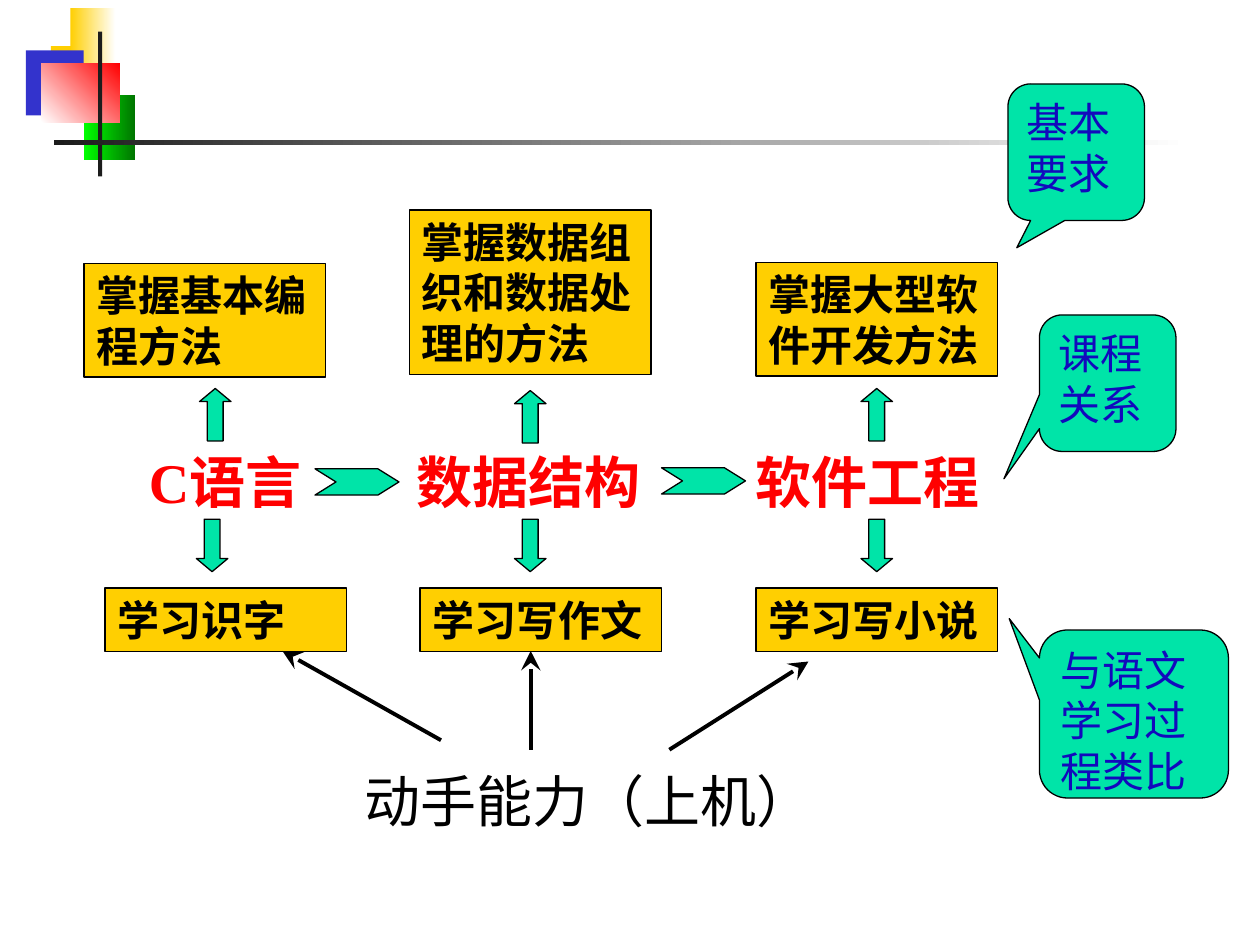
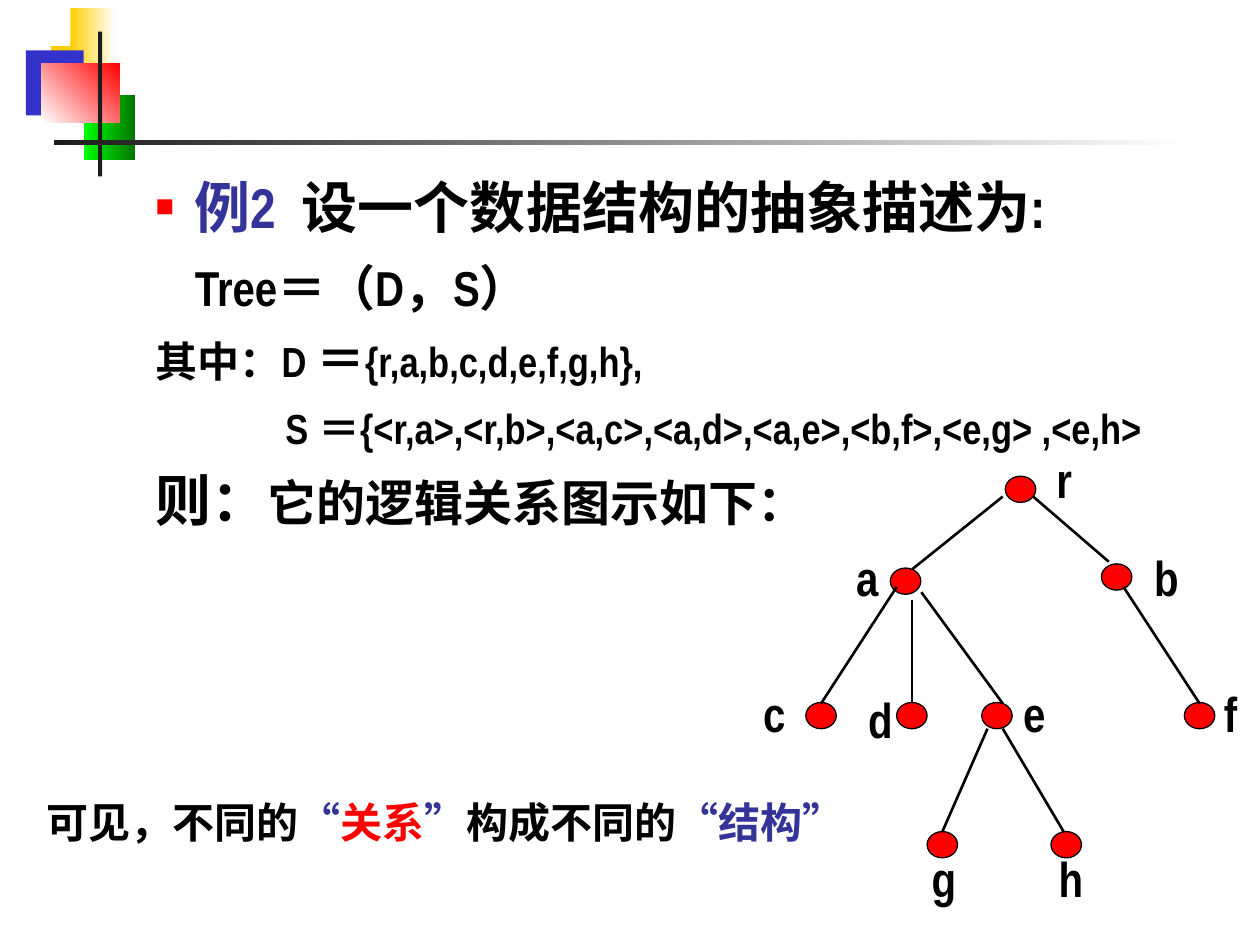
from lxml.etree import SubElement
from pptx import Presentation
from pptx.dml.color import RGBColor
from pptx.enum.shapes import MSO_CONNECTOR as Connector, MSO_SHAPE as Preset
from pptx.enum.text import MSO_ANCHOR as Anchor, MSO_AUTO_SIZE as AutoSize, PP_ALIGN as Align
from pptx.oxml.ns import qn
from pptx.util import Inches, Pt

COLUMNS, ROWS = 120, 90
WIDTH, HEIGHT = Inches(10), Inches(7.5)
BLACK, INK, WHITE = "000000", "1C1C1C", "FFFFFF"
YELLOW, RED, GREEN = "FFCF01", "FF0000", "00E4A8"
BLUE, CALLOUT_BLUE = "333399", "1209BD"
SERIF, NARROW, SANS = "Times New Roman", "Arial Narrow", "Karla"

FRAME = [
    (4.85, 4.4, 5.8, 6.2, [YELLOW], 0),
    (6.7, 0.77, 4.3, 6.2, [YELLOW, WHITE], 0),
    (2.48, 4.8, 5.5, 6.2, ["3333CC"], 0),
    (8, 9.07, 4.85, 6.2, ["00FF00", "007600"], 0),
    (3.93, 6.03, 7.5, 5.6, [WHITE, RED], 45),
    (9.34, 3, 0.4, 13.8, [INK], 0),
    (5.16, 13.35, 108, 0.45, [INK, WHITE], 0),
]

GOALS = [
    (8, 25.1, 10.8, "掌握基本编程方法"),
    (39, 20, 15.65, "掌握数据组织和数据处理的方法"),
    (72, 25.03, 10.8, "掌握大型软件开发方法"),
]
ANALOGIES = [(10, "学习识字"), (40, "学习写作文"), (72, "学习写小说")]
CALLOUTS = [
    (96, 8, 13, 13, (-0.435, 0.7), "基本要求"),
    (99, 30, 13, 13, (-0.76, 0.7), "课程关系"),
    (99, 60, 18, 16, (-0.66, -0.568), "与语文学习过程类比"),
]
UP_ARROWS = [(19, 37), (49, 37.2), (82, 37)]
DOWN_ARROWS = [(18.7, 49.45), (49, 49.45), (82, 49.45)]
CHEVRONS = [(30, 44.65), (63, 44.55)]
PRACTICE_ARROWS = [
    (42, 70.5, 26.9, 62),
    (50.55, 71.4, 50.55, 62),
    (63.75, 71.4, 77, 63),
]

TREE_NODES = [
    ("r", 97.2, 46.6, 101.35, 45.65),
    ("a", 86.25, 55.35, 82.6, 54.95),
    ("b", 106.35, 54.95, 111.1, 54.95),
    ("c", 78.2, 68.15, 73.75, 67.95),
    ("d", 86.85, 68.15, 83.85, 68.45),
    ("e", 94.95, 68.15, 98.5, 67.95),
    ("f", 114.25, 68.15, 117.2, 67.95),
    ("g", 89.75, 80.45, 89.9, 83.6),
    ("h", 101.55, 80.45, 102, 83.6),
]
TREE_EDGES = [
    (95.5, 47.3, 86.9, 54.2),
    (98.4, 47.3, 105.6, 53.5),
    (85.4, 55.9, 78.2, 67),
    (86.85, 57.1, 86.85, 67),
    (87.75, 56.4, 95.5, 67),
    (107, 55.9, 114.25, 67),
    (94.05, 69.4, 89.75, 79.2),
    (95.5, 69.4, 101.3, 79.2),
]
DESCRIPTION = [
    (0.81, -0.31, 8, [("例2  ", 32, BLUE), ("设一个数据结构的抽象描述为:", 32, BLACK)]),
    (0.81, 0, 10.5, [("Tree＝（D，S）", 28, BLACK)]),
    (0.81, -0.31, 7, [("其中：D ", 24, BLACK), ("＝", 28, BLACK),
                      ("{r,a,b,c,d,e,f,g,h},", 24, BLACK)]),
    (1.53, 0, 8.3, [("S ＝{<r,a>,<r,b>,<a,c>,<a,d>,<a,e>,<b,f>,<e,g> ,<e,h>", 24, BLACK)]),
    (0.81, -0.31, 7.5, [("则：", 32, BLACK), ("它的逻辑关系图示如下：", 28, BLACK)]),
]
CONCLUSION = [
    ("可见，不同的", 24, BLACK), ("“", 24, BLUE), ("关系", 24, RED),
    ("”", 24, BLUE), ("构成不同的", 24, BLACK), ("“结构”", 24, BLUE),
]


def across(columns):
    return round(WIDTH * columns / COLUMNS)


def down(rows):
    return round(HEIGHT * rows / ROWS)


def area(left, top, width, height):
    return across(left), down(top), across(width), down(height)


def color(hex_value):
    return RGBColor.from_string(hex_value)


def style_font(font, name, size, hex_value, bold):
    font.name, font.size, font.bold = name, Pt(size), bold
    font.color.rgb = color(hex_value)


def paint(shape, fills, outline=None, angle=0):
    shape.shadow.inherit = False
    if len(fills) == 1:
        shape.fill.solid()
        shape.fill.fore_color.rgb = color(fills[0])
    else:
        shape.fill.gradient()
        shape.fill.gradient_angle = angle
        for stop, hex_value in zip(shape.fill.gradient_stops, fills):
            stop.color.rgb = color(hex_value)
    if outline:
        shape.line.color.rgb = color(outline)
        shape.line.width = Pt(0.75)
    else:
        shape.line.fill.background()


def add_preset(slide, preset, place, fill, adjustments=()):
    shape = slide.shapes.add_shape(preset, *area(*place))
    paint(shape, [fill], BLACK)
    for index, value in enumerate(adjustments):
        shape.adjustments[index] = value
    return shape


def write(shape, text, name, size, hex_value, bold=False, align=Align.LEFT):
    frame = shape.text_frame
    frame.word_wrap = True
    frame.vertical_anchor = Anchor.TOP
    paragraph = frame.paragraphs[0]
    paragraph.text = text
    paragraph.alignment = align
    style_font(paragraph.font, name, size, hex_value, bold)
    return paragraph


def add_label(slide, place, text, *style, **options):
    box = slide.shapes.add_textbox(*area(*place))
    return write(box, text, *style, **options)


def add_runs(paragraph, runs, name):
    for text, size, hex_value in runs:
        run = paragraph.add_run()
        run.text = text
        style_font(run.font, name, size, hex_value, True)


def add_box(slide, place, text):
    box = add_preset(slide, Preset.RECTANGLE, place, YELLOW)
    write(box, text, SERIF, 24, BLACK, bold=True)


def add_line(slide, ends, width, arrow=False):
    x1, y1, x2, y2 = ends
    line = slide.shapes.add_connector(
        Connector.STRAIGHT, across(x1), down(y1), across(x2), down(y2))
    line.line.color.rgb = color(BLACK)
    line.line.width = Pt(width)
    if arrow:
        SubElement(line.line._get_or_add_ln(), qn("a:tailEnd"),
                   type="stealth", w="lg", len="lg")
    SubElement(line.element.spPr, qn("a:effectLst"))


def add_chevron(slide, left, top):
    points = [(0, 0), (6, 0), (8, 1.25), (6, 2.5), (0, 2.5), (2, 1.25)]
    start, *others = [(across(left + x), down(top + y)) for x, y in points]
    builder = slide.shapes.build_freeform(*start)
    builder.add_line_segments(others, close=True)
    paint(builder.convert_to_shape(), [GREEN], BLACK)


def add_tab_stops(paragraph, columns):
    tab_list = SubElement(paragraph._p.get_or_add_pPr(), qn("a:tabLst"))
    for column in columns:
        SubElement(tab_list, qn("a:tab"), pos=str(across(column)), algn="l")


def set_indent(paragraph, margin, indent, bullet):
    properties = paragraph._p.get_or_add_pPr()
    properties.set("marL", str(Inches(margin)))
    properties.set("indent", str(Inches(indent)))
    if bullet:
        bullet_color = SubElement(properties, qn("a:buClr"))
        SubElement(bullet_color, qn("a:srgbClr"), val=RED)
        SubElement(properties, qn("a:buSzPct"), val="55000")
        SubElement(properties, qn("a:buChar"), char="■")
    else:
        SubElement(properties, qn("a:buNone"))


def add_frame(master, slide):
    for number, (*place, fills, angle) in enumerate(FRAME, start=101):
        shape = slide.shapes.add_shape(Preset.RECTANGLE, *area(*place))
        paint(shape, fills, angle=angle)
        shape.element.nvSpPr.cNvPr.set("id", str(number))
        master.shapes.element.append(shape.element)


def fill_course_slide(slide):
    courses = add_label(slide, (13, 42, 93, 7.7), "C语言\t数据结构\t软件工程",
                        SERIF, 32, RED, bold=True)
    add_tab_stops(courses, (25.5, 57.8))
    for left, top, height, text in GOALS:
        add_box(slide, (left, top, 23, height), text)
    for left, text in ANALOGIES:
        add_box(slide, (left, 56, 23, 6.05), text)
    for *place, pointer, text in CALLOUTS:
        callout = add_preset(slide, Preset.ROUNDED_RECTANGULAR_CALLOUT, place, GREEN, pointer)
        write(callout, text, SERIF, 24, CALLOUT_BLUE)
    for preset, corners in ((Preset.UP_ARROW, UP_ARROWS), (Preset.DOWN_ARROW, DOWN_ARROWS)):
        for left, top in corners:
            add_preset(slide, preset, (left, top, 3, 5), GREEN, (0.5, 0.417))
    for left, top in CHEVRONS:
        add_chevron(slide, left, top)
    add_label(slide, (33.5, 72.4, 45.4, 7.7), "动手能力（上机）", SANS, 32, BLACK)
    for ends in PRACTICE_ARROWS:
        add_line(slide, ends, 2.25, arrow=True)


def fill_description(body):
    body.left, body.top, body.width, body.height = area(7.63, 15.8, 113.4, 71.2)
    frame = body.text_frame
    frame.auto_size = AutoSize.NONE
    for index, (margin, indent, space, runs) in enumerate(DESCRIPTION):
        paragraph = frame.add_paragraph() if index else frame.paragraphs[0]
        paragraph.space_before = Pt(space)
        set_indent(paragraph, margin, indent, bullet=index == 0)
        add_runs(paragraph, runs, NARROW)


def fill_tree_slide(slide):
    title = slide.shapes.title.element
    title.getparent().remove(title)
    fill_description(slide.placeholders[1])
    for _, x, y, _, _ in TREE_NODES:
        add_preset(slide, Preset.FLOWCHART_CONNECTOR, (x - 1.45, y - 1.25, 2.9, 2.5), RED)
    for ends in TREE_EDGES:
        add_line(slide, ends, 1.5)
    for name, _, _, x, y in TREE_NODES:
        add_label(slide, (x - 2.75, y - 3.4, 5.5, 6.8), name,
                  NARROW, 28, BLACK, bold=True, align=Align.CENTER)
    conclusion = add_label(slide, (3.27, 75.27, 106, 6), "", SERIF, 24, BLACK, bold=True)
    add_runs(conclusion, CONCLUSION, SERIF)


def main():
    presentation = Presentation()
    presentation.slide_width, presentation.slide_height = WIDTH, HEIGHT
    layouts = presentation.slide_layouts
    course_slide = presentation.slides.add_slide(layouts.get_by_name("Blank"))
    add_frame(presentation.slide_master, course_slide)
    fill_course_slide(course_slide)
    fill_tree_slide(presentation.slides.add_slide(layouts.get_by_name("Title and Content")))
    presentation.save("out.pptx")


if __name__ == "__main__":
    main()
